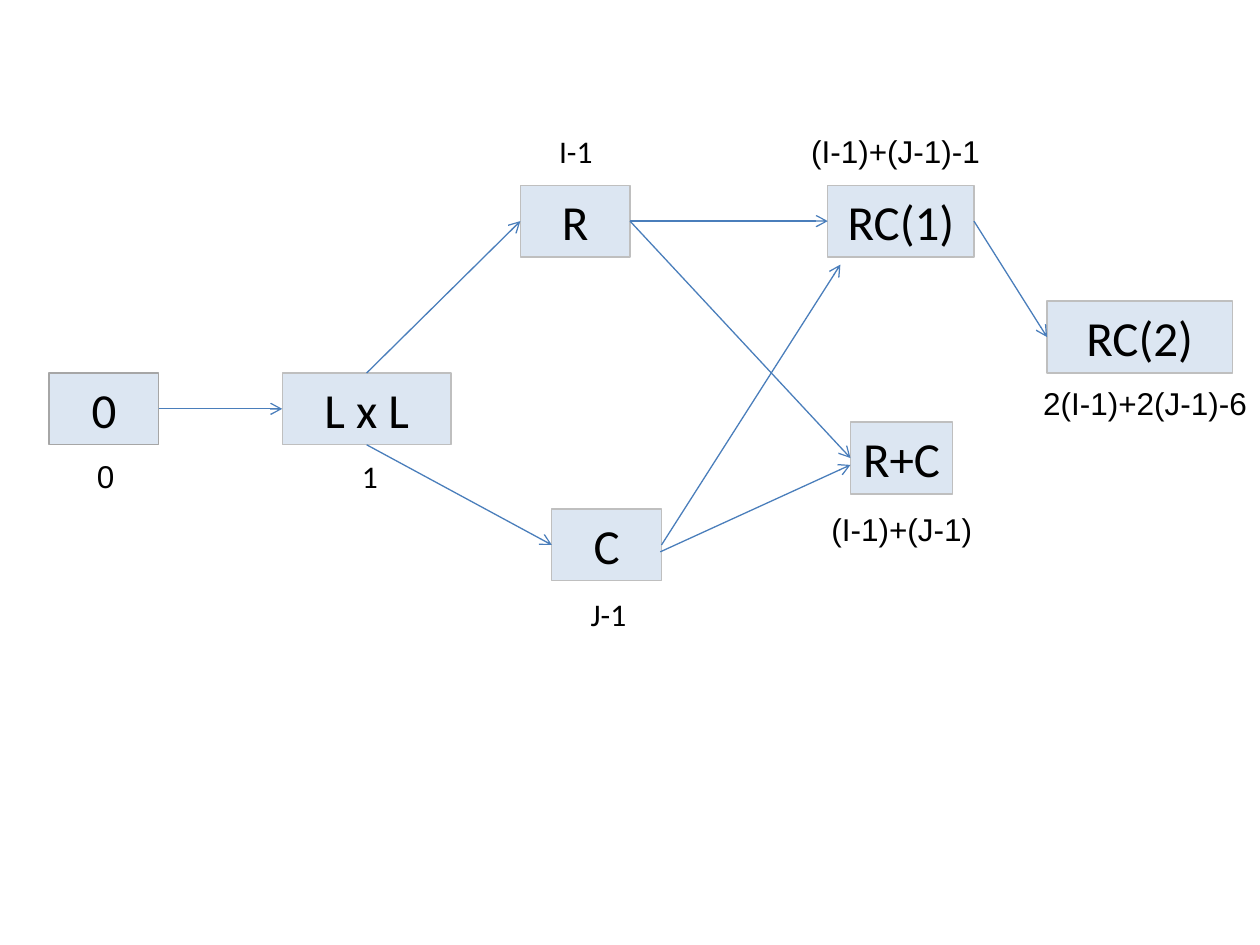
from lxml import etree
from pptx import Presentation
from pptx.dml.color import RGBColor
from pptx.enum.shapes import MSO_CONNECTOR, MSO_SHAPE
from pptx.enum.text import MSO_ANCHOR, MSO_AUTO_SIZE, PP_ALIGN
from pptx.oxml.ns import qn
from pptx.util import Inches, Pt

RECTANGLE = MSO_SHAPE.RECTANGLE
STRAIGHT = MSO_CONNECTOR.STRAIGHT
CENTER, LEFT = PP_ALIGN.CENTER, PP_ALIGN.LEFT
TOP_ANCHOR = MSO_ANCHOR.TOP
GROW_WITH_TEXT = MSO_AUTO_SIZE.SHAPE_TO_FIT_TEXT

SLIDE_WIDTH, SLIDE_HEIGHT = Inches(10), Inches(7.5)
BLACK = RGBColor(0x00, 0x00, 0x00)
PALE_BLUE = RGBColor(0xDC, 0xE6, 0xF2)
ARROW_BLUE = RGBColor(0x4A, 0x7E, 0xBB)
DARK_GREY = RGBColor(0xA6, 0xA6, 0xA6)
LIGHT_GREY = RGBColor(0xBF, 0xBF, 0xBF)

# All positions and sizes are percentages of the slide's width and height.
NODE_HEIGHT, LABEL_HEIGHT = 7.6, 5.33
SIDE_TOP, SIDE_LEFT, SIDE_BOTTOM, SIDE_RIGHT = range(4)

# text, left, top, width, outline, wrap
NODES = [
    ("0", 3.9, 39.47, 8.7, DARK_GREY, True),
    ("L x L", 22.4, 39.47, 13.4, LIGHT_GREY, True),
    ("R", 41.3, 19.6, 8.7, LIGHT_GREY, True),
    ("C", 43.8, 53.87, 8.7, LIGHT_GREY, True),
    ("RC(1)", 65.7, 19.6, 11.6, LIGHT_GREY, True),
    ("RC(2)", 83.1, 31.87, 14.7, LIGHT_GREY, True),
    ("R+C", 67.5, 44.67, 8.1, LIGHT_GREY, False),
]

# text, left, top, width, font, alignment
LABELS = [
    ("1", 25.8, 47.73, 7.1, "Calibri", CENTER),
    ("I-1", 43.2, 13.33, 5, "Calibri", CENTER),
    ("J-1", 45.8, 62.27, 5, "Calibri", CENTER),
    ("(I-1)+(J-1)", 65, 53.33, 13.2, "Arial", LEFT),
    ("0", 6.7, 47.73, 3.4, "Arial", LEFT),
    ("(I-1)+(J-1)-1", 63.4, 13.33, 15.4, "Arial", LEFT),
    ("2(I-1)+2(J-1)-6", 81.8, 40, 18.2, "Arial", LEFT),
]

# Each end is a (node, side) pair or a free (x, y) point.
ARROWS = [
    (("0", SIDE_RIGHT), ("L x L", SIDE_LEFT)),
    (("L x L", SIDE_TOP), ("R", SIDE_LEFT)),
    (("L x L", SIDE_BOTTOM), ("C", SIDE_LEFT)),
    (("R", SIDE_RIGHT), ("RC(1)", SIDE_LEFT)),
    (("R", SIDE_RIGHT), ("R+C", SIDE_LEFT)),
    ((52.4, 58.4), (67.5, 49.2)),
    (("C", SIDE_RIGHT), (66.7, 28)),
    (("RC(1)", SIDE_RIGHT), ("RC(2)", SIDE_LEFT)),
]


def across(percent):
    return round(SLIDE_WIDTH * percent / 100)


def down(percent):
    return round(SLIDE_HEIGHT * percent / 100)


def write_text(shape, text, size, font_name, alignment, wrap):
    frame = shape.text_frame
    frame.word_wrap = wrap
    frame.auto_size = GROW_WITH_TEXT
    frame.vertical_anchor = TOP_ANCHOR
    paragraph = frame.paragraphs[0]
    paragraph.text = text
    paragraph.alignment = alignment
    paragraph.font.size = Pt(size)
    paragraph.font.name = font_name
    paragraph.font.color.rgb = BLACK


def add_node(slide, text, left, top, width, outline, wrap):
    shape = slide.shapes.add_shape(
        RECTANGLE, across(left), down(top), across(width), down(NODE_HEIGHT))
    shape.shadow.inherit = False
    shape.fill.solid()
    shape.fill.fore_color.rgb = PALE_BLUE
    shape.line.color.rgb = outline
    shape.line.width = Pt(0.75)
    write_text(shape, text, 28, "Calibri", CENTER, wrap)
    return shape


def add_label(slide, text, left, top, width, font_name, alignment):
    shape = slide.shapes.add_textbox(
        across(left), down(top), across(width), down(LABEL_HEIGHT))
    write_text(shape, text, 18, font_name, alignment, False)


def end_point(nodes, end):
    """Return the slide position of a node's side or of a free point."""
    if end[0] not in nodes:
        return across(end[0]), down(end[1])
    node, side = nodes[end[0]], end[1]
    x_share, y_share = [(0.5, 0), (0, 0.5), (0.5, 1), (1, 0.5)][side]
    return (round(node.left + node.width * x_share),
            round(node.top + node.height * y_share))


def add_arrow(slide, nodes, start, end):
    connector = slide.shapes.add_connector(
        STRAIGHT, *end_point(nodes, start), *end_point(nodes, end))
    if start[0] in nodes:
        connector.begin_connect(nodes[start[0]], start[1])
    if end[0] in nodes:
        connector.end_connect(nodes[end[0]], end[1])
    connector.line.color.rgb = ARROW_BLUE
    connector.line.width = Pt(0.75)
    etree.SubElement(connector.line._get_or_add_ln(), qn("a:tailEnd"), type="arrow")
    etree.SubElement(connector._element.spPr, qn("a:effectLst"))


def main():
    presentation = Presentation()
    presentation.slide_width = SLIDE_WIDTH
    presentation.slide_height = SLIDE_HEIGHT
    slide = presentation.slides.add_slide(presentation.slide_layouts[6])
    nodes = {node[0]: add_node(slide, *node) for node in NODES}
    for start, end in ARROWS:
        add_arrow(slide, nodes, start, end)
    for label in LABELS:
        add_label(slide, *label)
    presentation.save("out.pptx")


if __name__ == "__main__":
    main()
